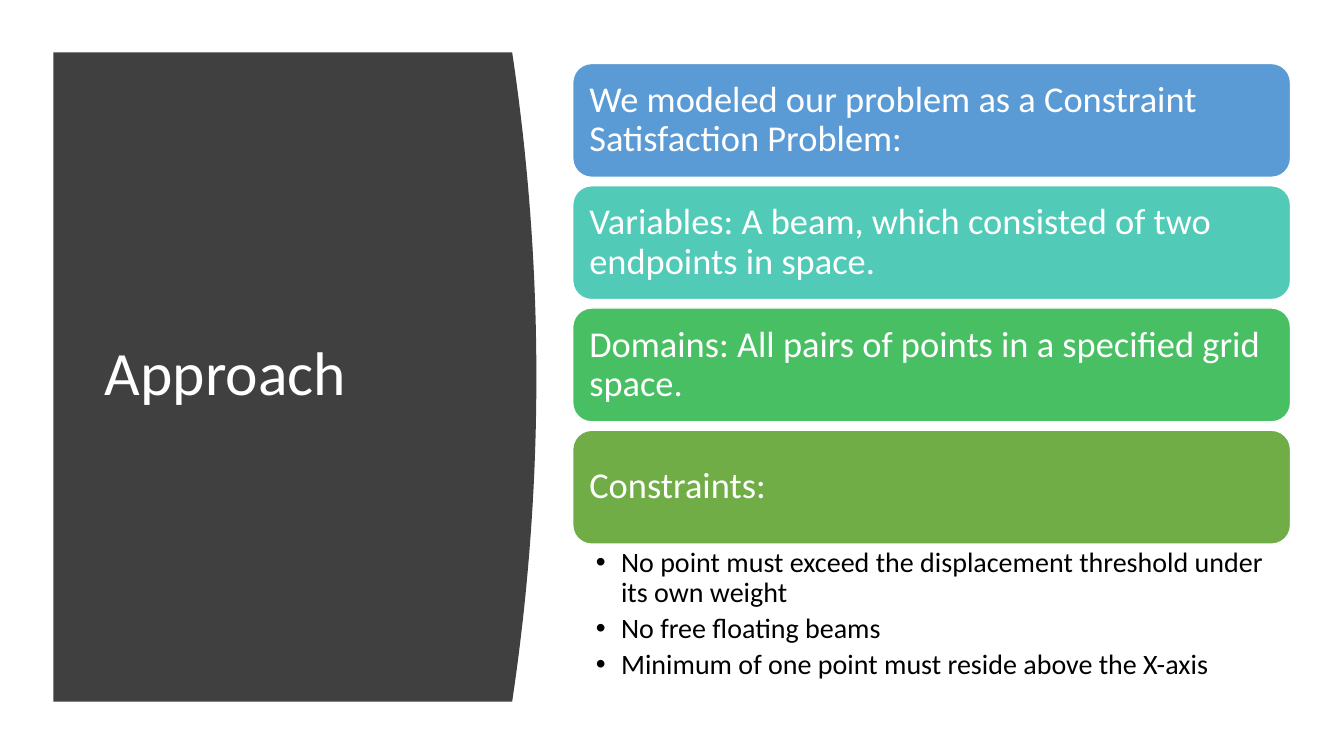
from dataclasses import dataclass

from lxml.etree import SubElement
from pptx import Presentation
from pptx.dml.color import RGBColor
from pptx.enum.shapes import MSO_SHAPE as Preset
from pptx.enum.text import MSO_ANCHOR as Anchor, MSO_AUTO_SIZE as AutoSize, PP_ALIGN as Align
from pptx.oxml.ns import qn
from pptx.util import Inches, Pt


@dataclass(frozen=True)
class Theme:
    font: str = "Calibri"
    white: str = "FFFFFF"
    black: str = "000000"
    panel: str = "404040"
    steps: tuple = ("5B9BD5", "52CAB8", "49BF64", "70AD47")
    title_size: int = 44
    step_size: int = 26
    bullet_size: int = 20


THEME = Theme()
STEPS = (
    "We modeled our problem as a Constraint Satisfaction Problem:",
    "Variables: A beam, which consisted of two endpoints in space.",
    "Domains: All pairs of points in a specified grid space.",
    "Constraints:",
)
CONSTRAINTS = (
    "No point must exceed the displacement threshold under its own weight",
    "No free floating beams",
    "Minimum of one point must reside above the X-axis",
)


def place(shape, left, top, width, height):
    shape.left, shape.top = Inches(left), Inches(top)
    shape.width, shape.height = Inches(width), Inches(height)


def set_frame(frame, anchor, left, top, right, bottom):
    frame.word_wrap = True
    frame.auto_size = AutoSize.NONE
    frame.vertical_anchor = anchor
    frame.margin_left, frame.margin_top = Inches(left), Inches(top)
    frame.margin_right, frame.margin_bottom = Inches(right), Inches(bottom)


def format_text(frame, size, color, space_after=0):
    for paragraph in frame.paragraphs:
        paragraph.alignment = Align.LEFT
        paragraph.line_spacing = 0.9
        paragraph.space_before = Pt(0)
        paragraph.space_after = Pt(space_after)
        for run in paragraph.runs:
            run.font.name = THEME.font
            run.font.size = Pt(size)
            run.font.color.rgb = RGBColor.from_string(color)


def paint(shape, color):
    shape.shadow.inherit = False
    shape.fill.solid()
    shape.fill.fore_color.rgb = RGBColor.from_string(color)


def add_title_panel(slide, left, top, width, height):
    bulge, segments = 0.24, 40
    edge = left + width - bulge
    arc = []
    for index in range(segments + 1):
        share = index / segments
        bend = bulge * (1 - (2 * share - 1) ** 2)
        arc.append((Inches(edge + bend), Inches(top + height * share)))
    outline = slide.shapes.build_freeform(Inches(left), Inches(top))
    outline.add_line_segments(arc + [(Inches(left), Inches(top + height))], close=True)
    panel = outline.convert_to_shape()
    paint(panel, THEME.panel)
    panel.line.fill.background()

    title = slide.shapes.title
    title.element.addprevious(panel.element)
    place(title, left + 0.41, top + 0.59, 3.74, 5.24)
    title.text_frame.text = "Approach"
    set_frame(title.text_frame, Anchor.MIDDLE, 0.1, 0.05, 0.1, 0.05)
    format_text(title.text_frame, THEME.title_size, THEME.white)


def add_steps(slide, left, top, width, step_height, pitch):
    for index, (wording, color) in enumerate(zip(STEPS, THEME.steps)):
        step = slide.shapes.add_shape(
            Preset.ROUNDED_RECTANGLE, Inches(left), Inches(top + index * pitch),
            Inches(width), Inches(step_height))
        paint(step, color)
        step.line.color.rgb = RGBColor.from_string(THEME.white)
        step.line.width = Pt(1)
        step.text_frame.text = wording
        set_frame(step.text_frame, Anchor.MIDDLE, 0.11, 0.11, 0.11, 0.11)
        format_text(step.text_frame, THEME.step_size, THEME.white, 9.1)


def add_constraints(slide, left, top, width, height):
    constraints = slide.placeholders[1]
    place(constraints, left, top, width, height)
    frame = constraints.text_frame
    frame.text = "\n".join(CONSTRAINTS)
    set_frame(frame, Anchor.TOP, 0.23, 0.04, 0.2, 0.04)
    format_text(frame, THEME.bullet_size, THEME.black, 4)
    for paragraph in frame.paragraphs:
        properties = paragraph._p.get_or_add_pPr()
        properties.set("marL", str(Inches(0.25)))
        properties.set("indent", str(Inches(-0.25)))
        SubElement(properties, qn("a:buFont")).set("typeface", "Arial")
        SubElement(properties, qn("a:buChar")).set("char", "•")


def build_approach_slide(deck):
    slide = deck.slides.add_slide(deck.slide_layouts[1])
    add_title_panel(slide, 0.53, 0.52, 4.79, 6.44)
    add_steps(slide, 5.68, 0.63, 7.12, 1.13, 1.213)
    add_constraints(slide, 5.68, 5.4, 7.12, 1.44)


def main():
    deck = Presentation()
    deck.slide_width, deck.slide_height = Inches(13.33), Inches(7.5)
    build_approach_slide(deck)
    deck.save("out.pptx")


if __name__ == "__main__":
    main()
